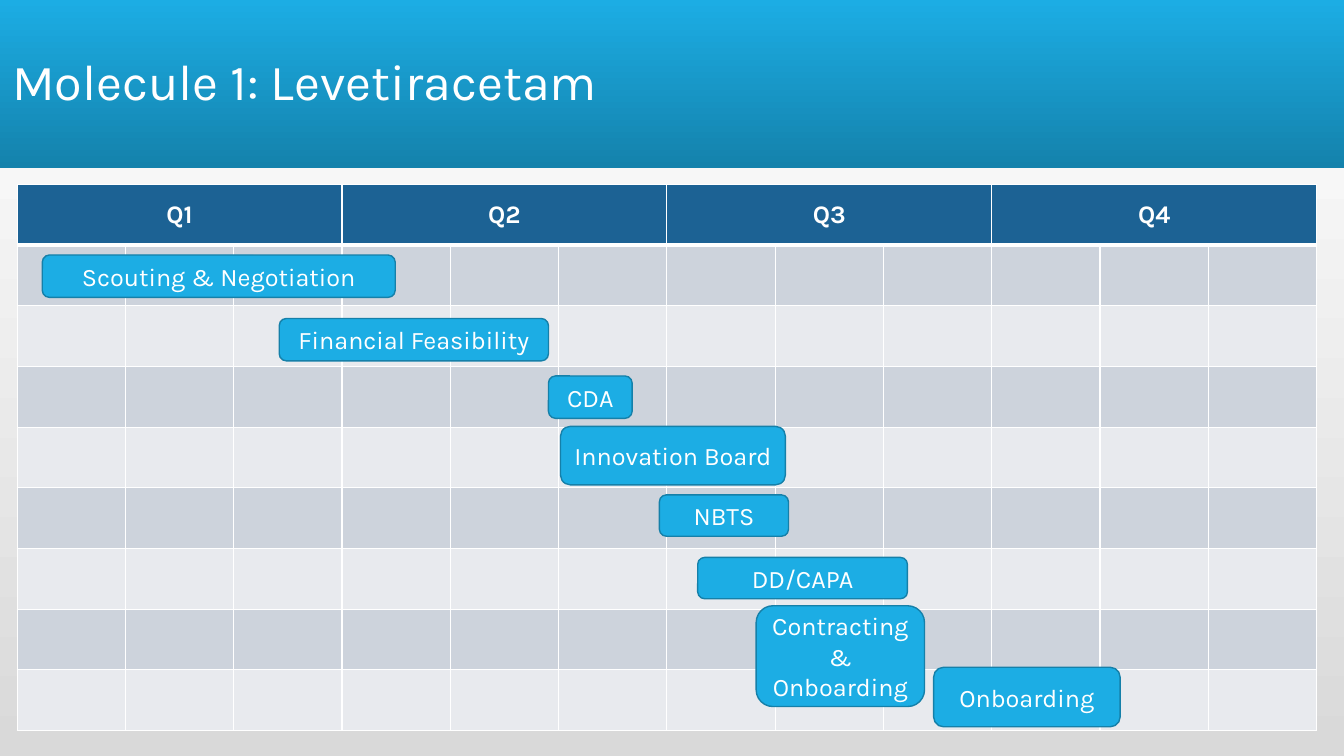
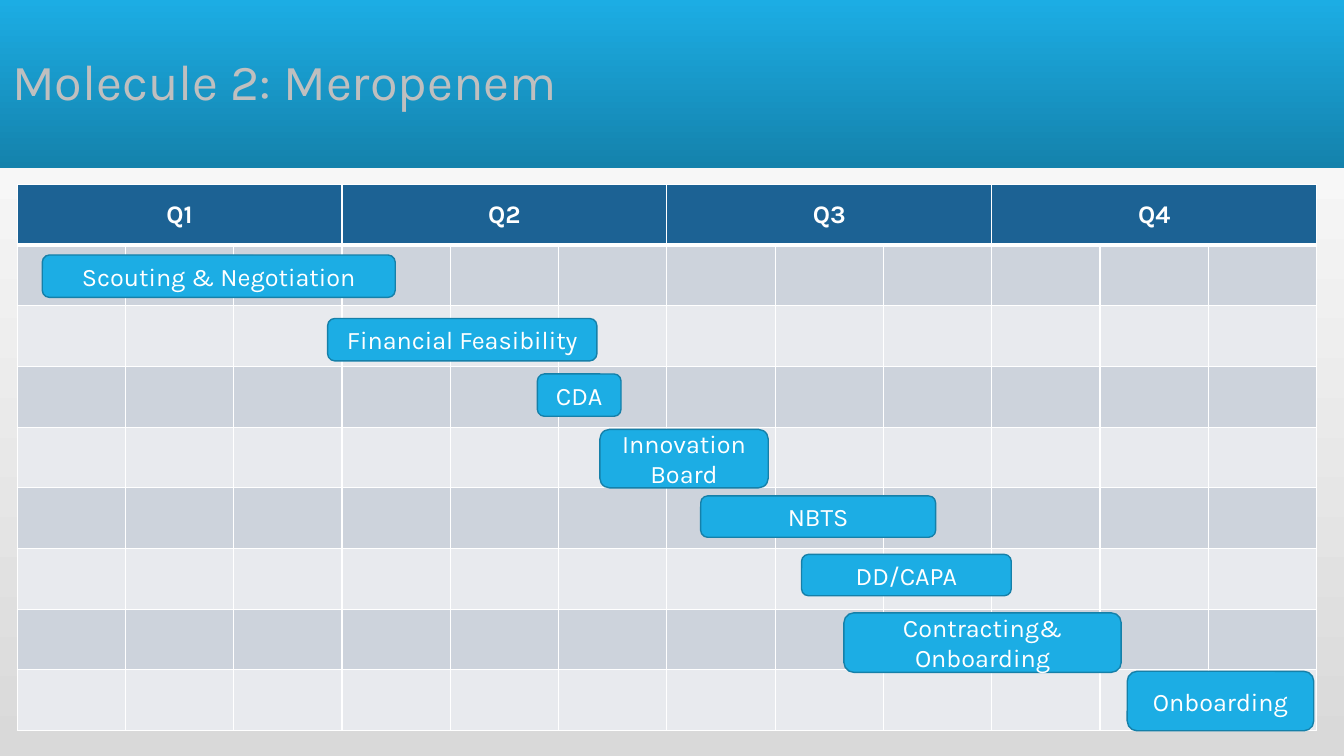
from lxml import etree
from pptx import Presentation
from pptx.dml.color import RGBColor
from pptx.enum.shapes import MSO_SHAPE
from pptx.enum.text import MSO_ANCHOR, PP_ALIGN
from pptx.oxml.ns import qn
from pptx.util import Inches, Pt

RECT, ROUND_RECT = MSO_SHAPE.RECTANGLE, MSO_SHAPE.ROUNDED_RECTANGLE
MIDDLE = MSO_ANCHOR.MIDDLE
LEFT, CENTER = PP_ALIGN.LEFT, PP_ALIGN.CENTER

FONT = "Karla"
COLORS = {
    "white": "FFFFFF",
    "muted": "BFBFBF",
    "backdrop": "D9D9D9",
    "blue": "1CADE4",
    "blue_dark": "1482AC",
    "bar_line": "1580A9",
    "header": "1C6294",
    "row_dark": "CDD3DC",
    "row_light": "E8EAEE",
}

SLIDE_W, SLIDE_H = 13.33, 7.5
BAND_BOX = (0, 0, SLIDE_W, 1.67)
TITLE_BOX = (0.02, 0.11, 13.04, 1.45)
TABLE_BOX = (0.17, 1.83, 12.89, 5.42)
QUARTERS = ["Q1", "Q2", "Q3", "Q4"]
MONTHS = 3
TASKS = [
    "Scouting & Negotiation", "Financial Feasibility", "CDA",
    "Innovation Board", "NBTS", "DD/CAPA", "Contracting& Onboarding",
    "Onboarding",
]

# Title, title colour, then left, top, width, height of the bar of each task
ROADMAPS = [
    ("Molecule 1: Levetiracetam", "white", [
        (0.42, 2.53, 3.5, 0.42), (2.77, 3.16, 2.67, 0.42),
        (5.44, 3.73, 0.83, 0.42), (5.56, 4.23, 2.23, 0.58),
        (6.54, 4.91, 1.28, 0.41), (6.92, 5.53, 2.08, 0.41),
        (7.5, 6.01, 1.67, 1), (9.26, 6.62, 1.85, 0.59)]),
    ("Molecule 2: Meropenem", "muted", [
        (0.42, 2.53, 3.5, 0.42), (3.25, 3.16, 2.67, 0.42),
        (5.33, 3.71, 0.83, 0.42), (5.95, 4.26, 1.67, 0.58),
        (6.95, 4.92, 2.33, 0.41), (7.95, 5.5, 2.08, 0.41),
        (8.37, 6.08, 2.75, 0.59), (11.18, 6.66, 1.85, 0.59)]),
]


def rgb(name):
    return RGBColor.from_string(COLORS[name])


def inches(box):
    return [Inches(v) for v in box]


def set_gradient(fill, start, end, angle):
    fill.gradient()
    fill.gradient_angle = angle
    for stop, name in zip(fill.gradient_stops, (start, end)):
        stop.color.rgb = rgb(name)


def format_text(tf, size, color="white", bold=False, align=CENTER):
    for p in tf.paragraphs:
        p.alignment = align
        for r in p.runs:
            r.font.name = FONT
            r.font.size = Pt(size)
            r.font.bold = bold
            r.font.color.rgb = rgb(color)


def add_title_band(s):
    """Draw the band behind the title placeholder."""
    band = s.shapes.add_shape(RECT, *inches(BAND_BOX))
    band.shadow.inherit = False
    band.line.fill.background()
    set_gradient(band.fill, "blue", "blue_dark", 270)
    s.shapes.title._element.addprevious(band._element)


def set_title(s, text, color):
    title = s.shapes.title
    title.left, title.top, title.width, title.height = inches(TITLE_BOX)
    tf = title.text_frame
    tf.text = text
    tf.vertical_anchor = MIDDLE
    tf.paragraphs[0].line_spacing = 0.9
    format_text(tf, 36, color, align=LEFT)


def set_borders(cell, top, bottom):
    """Give a cell white borders; top and bottom are widths in points."""
    tc_pr = cell._tc.get_or_add_tcPr()
    sides = [("a:lnL", 1), ("a:lnR", 1), ("a:lnT", top), ("a:lnB", bottom)]
    for i, (tag, width) in enumerate(sides):
        ln = etree.Element(qn(tag), w=str(Pt(width)))
        fill = etree.SubElement(ln, qn("a:solidFill"))
        etree.SubElement(fill, qn("a:srgbClr"), val=COLORS["white"])
        tc_pr.insert(i, ln)


def add_calendar(s):
    n_rows, n_cols = len(TASKS) + 1, len(QUARTERS) * MONTHS
    table = s.shapes.add_table(n_rows, n_cols, *inches(TABLE_BOX)).table
    for col in table.columns:
        col.width = Inches(TABLE_BOX[2] / n_cols)
    for i, row in enumerate(table.rows):
        row.height = Inches(TABLE_BOX[3] / n_rows)
        color = "header" if i == 0 else ("row_light", "row_dark")[i % 2]
        for cell in row.cells:
            cell.fill.solid()
            cell.fill.fore_color.rgb = rgb(color)
            set_borders(cell, 3 if i == 1 else 1, 3 if i == 0 else 1)
    for i, quarter in enumerate(QUARTERS):
        first = i * MONTHS
        cell = table.cell(0, first)
        cell.merge(table.cell(0, first + MONTHS - 1))
        cell.text_frame.text = quarter
        cell.vertical_anchor = MIDDLE
        format_text(cell.text_frame, 18, bold=True)


def add_task_bar(s, task, box):
    bar = s.shapes.add_shape(ROUND_RECT, *inches(box))
    bar.shadow.inherit = False
    bar.fill.solid()
    bar.fill.fore_color.rgb = rgb("blue")
    bar.line.color.rgb = rgb("bar_line")
    bar.line.width = Pt(1)
    tf = bar.text_frame
    tf.word_wrap = True
    tf.vertical_anchor = MIDDLE
    tf.text = task
    format_text(tf, 18)


def main():
    prs = Presentation()
    prs.slide_width, prs.slide_height = Inches(SLIDE_W), Inches(SLIDE_H)
    set_gradient(prs.slide_master.background.fill, "backdrop", "white", 90)
    title_only = prs.slide_layouts[5]
    for title, color, boxes in ROADMAPS:
        s = prs.slides.add_slide(title_only)
        add_title_band(s)
        set_title(s, title, color)
        add_calendar(s)
        for task, box in zip(TASKS, boxes):
            add_task_bar(s, task, box)
    prs.save("out.pptx")


if __name__ == "__main__":
    main()
